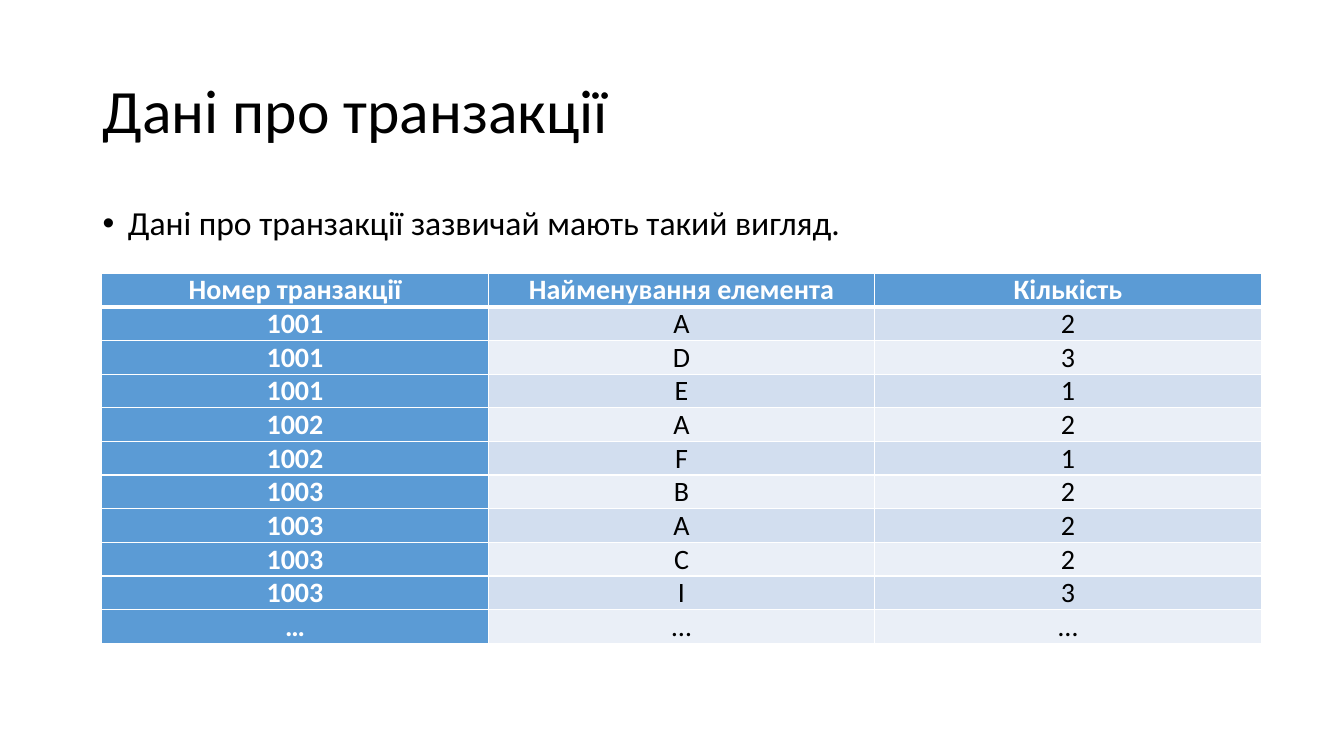
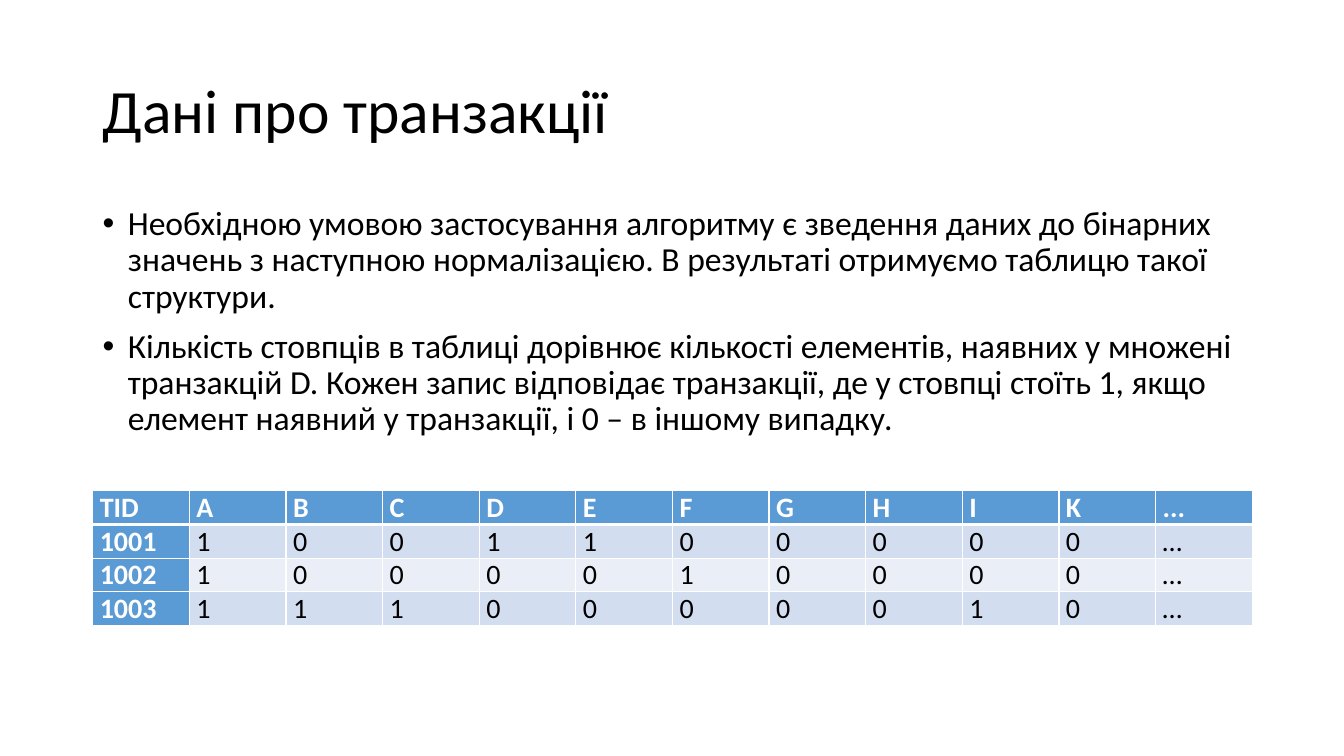
from dataclasses import dataclass
from typing import Any

import lxml.etree
import pptx
import pptx.dml.color
import pptx.enum.text
import pptx.oxml.ns
import pptx.util

Inches = pptx.util.Inches
Pt = pptx.util.Pt
Align = pptx.enum.text.PP_ALIGN
Anchor = pptx.enum.text.MSO_ANCHOR
qn = pptx.oxml.ns.qn


@dataclass(frozen=True)
class Theme:
    font: str = "Calibri"
    text: str = "000000"
    light: str = "FFFFFF"
    accent: str = "5B9BD5"
    bands: tuple[str, str] = ("D2DEEF", "EAEFF7")
    title_size: int = 44
    body_size: int = 24
    table_size: int = 20
    line_spacing: float = 0.9
    thin_border: int = 1
    thick_border: int = 3


@dataclass(frozen=True)
class Area:
    left: float
    top: float
    width: float
    height: float

    def lengths(self) -> list[int]:
        return [Inches(side) for side in (self.left, self.top, self.width, self.height)]


@dataclass(frozen=True)
class TableContent:
    area: Area
    rows: list[list[str]]
    align: Any
    anchor: Any


@dataclass(frozen=True)
class PageContent:
    title: str
    bullets: list[str]
    table: TableContent


THEME = Theme()
TITLE_AREA = Area(0.92, 0.4, 11.5, 1.45)
BODY_AREA = Area(0.92, 2, 11.5, 4.76)
TITLE = "Дані про транзакції"

PAGES = [
    PageContent(
        TITLE,
        ["Дані про транзакції зазвичай мають такий вигляд."],
        TableContent(
            Area(1.01, 2.71, 11.5, 3.67),
            [
                ["Номер транзакції", "Найменування елемента", "Кількість"],
                ["1001", "А", "2"],
                ["1001", "D", "3"],
                ["1001", "E", "1"],
                ["1002", "А", "2"],
                ["1002", "F", "1"],
                ["1003", "B", "2"],
                ["1003", "A", "2"],
                ["1003", "C", "2"],
                ["1003", "І", "3"],
                ["…", "…", "…"],
            ],
            Align.CENTER,
            Anchor.MIDDLE,
        ),
    ),
    PageContent(
        TITLE,
        [
            "Необхідною умовою застосування алгоритму є зведення даних до бінарних "
            "значень з наступною нормалізацією. В результаті отримуємо таблицю такої "
            "структури.",
            "Кількість стовпців в таблиці дорівнює кількості елементів, наявних у множені "
            "транзакцій D. Кожен запис відповідає транзакції, де у стовпці стоїть 1, якщо "
            "елемент наявний у транзакції, і 0 – в іншому випадку.",
        ],
        TableContent(
            Area(0.92, 4.87, 11.5, 1.33),
            [
                ["TID", *"ABCDEFGHIK", "..."],
                ["1001", *"1001100000", "…"],
                ["1002", *"1000010000", "…"],
                ["1003", *"1110000010", "…"],
            ],
            Align.LEFT,
            Anchor.TOP,
        ),
    ),
]


def rgb(color: str) -> pptx.dml.color.RGBColor:
    return pptx.dml.color.RGBColor.from_string(color)


def add_span(para: Any, text: str, size: int, color: str, bold: bool = False) -> None:
    span = para.add_run()
    span.text = text
    span.font.name = THEME.font
    span.font.size = Pt(size)
    span.font.bold = bold
    span.font.color.rgb = rgb(color)


def add_text_box(page: Any, area: Area, anchor: Any) -> Any:
    frame = page.shapes.add_textbox(*area.lengths()).text_frame
    frame.word_wrap = True
    frame.vertical_anchor = anchor
    return frame


def add_title(page: Any, title: str) -> None:
    para = add_text_box(page, TITLE_AREA, Anchor.MIDDLE).paragraphs[0]
    para.line_spacing = THEME.line_spacing
    add_span(para, title, THEME.title_size, THEME.text)


def add_bullets(page: Any, bullets: list[str]) -> None:
    frame = add_text_box(page, BODY_AREA, Anchor.TOP)
    for index, bullet in enumerate(bullets):
        para = frame.add_paragraph() if index else frame.paragraphs[0]
        para.line_spacing = THEME.line_spacing
        para.space_before = Pt(10)
        properties = para._p.get_or_add_pPr()
        properties.set("marL", str(Inches(0.25)))
        properties.set("indent", str(-Inches(0.25)))
        lxml.etree.SubElement(properties, qn("a:buFont"), typeface="Arial")
        lxml.etree.SubElement(properties, qn("a:buChar"), char="•")
        add_span(para, bullet, THEME.body_size, THEME.text)


def set_borders(cell: Any, top: int, bottom: int) -> None:
    """Draw the four sides; they must come before the fill in the cell's XML."""
    widths = {"L": THEME.thin_border, "R": THEME.thin_border, "T": top, "B": bottom}
    properties = cell._tc.get_or_add_tcPr()
    for index, (side, width) in enumerate(widths.items()):
        line = lxml.etree.Element(qn(f"a:ln{side}"), w=str(Pt(width)))
        fill = lxml.etree.SubElement(line, qn("a:solidFill"))
        lxml.etree.SubElement(fill, qn("a:srgbClr"), val=THEME.light)
        properties.insert(index, line)


def add_data_table(page: Any, content: TableContent) -> None:
    rows = content.rows
    table = page.shapes.add_table(len(rows), len(rows[0]), *content.area.lengths()).table
    table.first_col = True
    for row, values in enumerate(rows):
        for column, value in enumerate(values):
            heading = row == 0 or column == 0
            cell = table.cell(row, column)
            cell.margin_left = cell.margin_right = Inches(0.07)
            cell.margin_top = cell.margin_bottom = 0
            cell.vertical_anchor = content.anchor
            cell.fill.solid()
            cell.fill.fore_color.rgb = rgb(THEME.accent if heading else THEME.bands[(row - 1) % 2])
            set_borders(
                cell,
                top=THEME.thick_border if row == 1 else THEME.thin_border,
                bottom=THEME.thick_border if row == 0 else THEME.thin_border,
            )
            para = cell.text_frame.paragraphs[0]
            para.alignment = content.align
            add_span(para, value, THEME.table_size, THEME.light if heading else THEME.text, heading)


def main() -> None:
    deck = pptx.Presentation()
    deck.slide_width = Inches(13.33)
    deck.slide_height = Inches(7.5)
    blank_layout = deck.slide_layouts[6]
    for content in PAGES:
        page = deck.slides.add_slide(blank_layout)
        add_title(page, content.title)
        add_bullets(page, content.bullets)
        add_data_table(page, content.table)
    deck.save("out.pptx")


if __name__ == "__main__":
    main()
